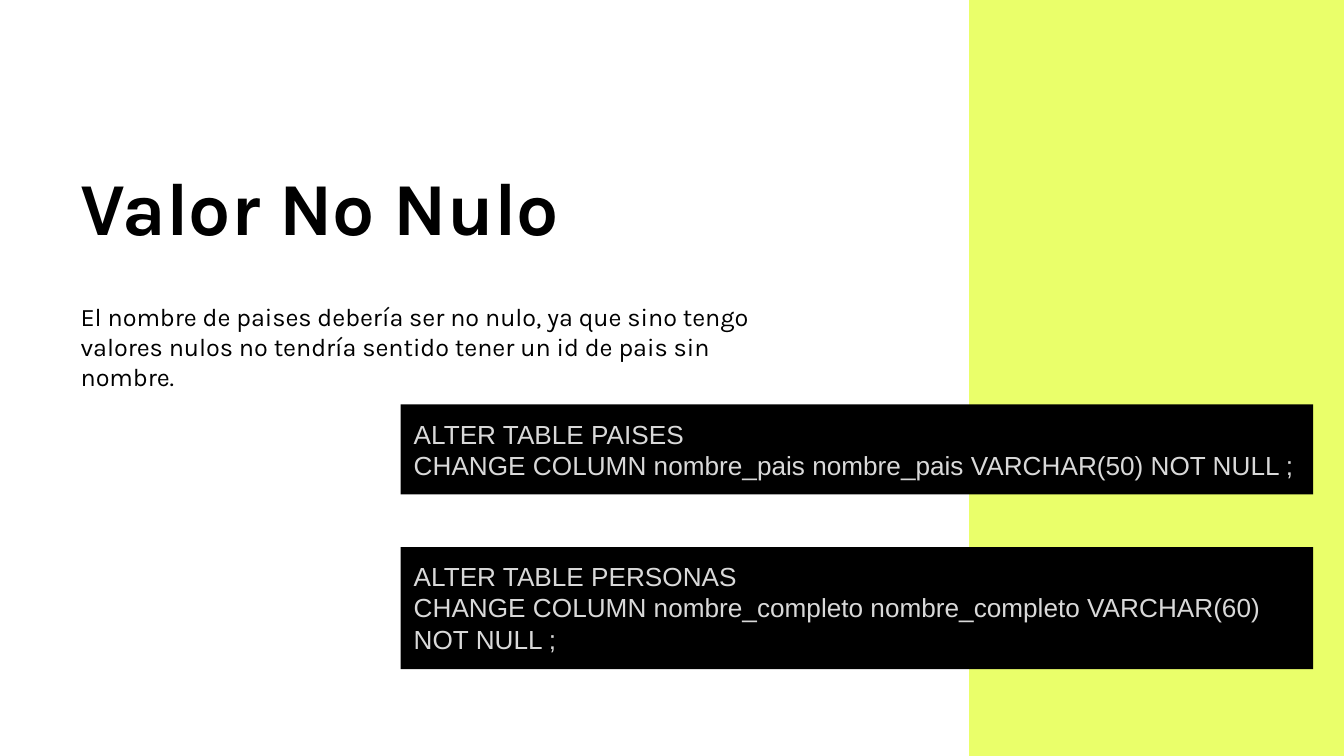
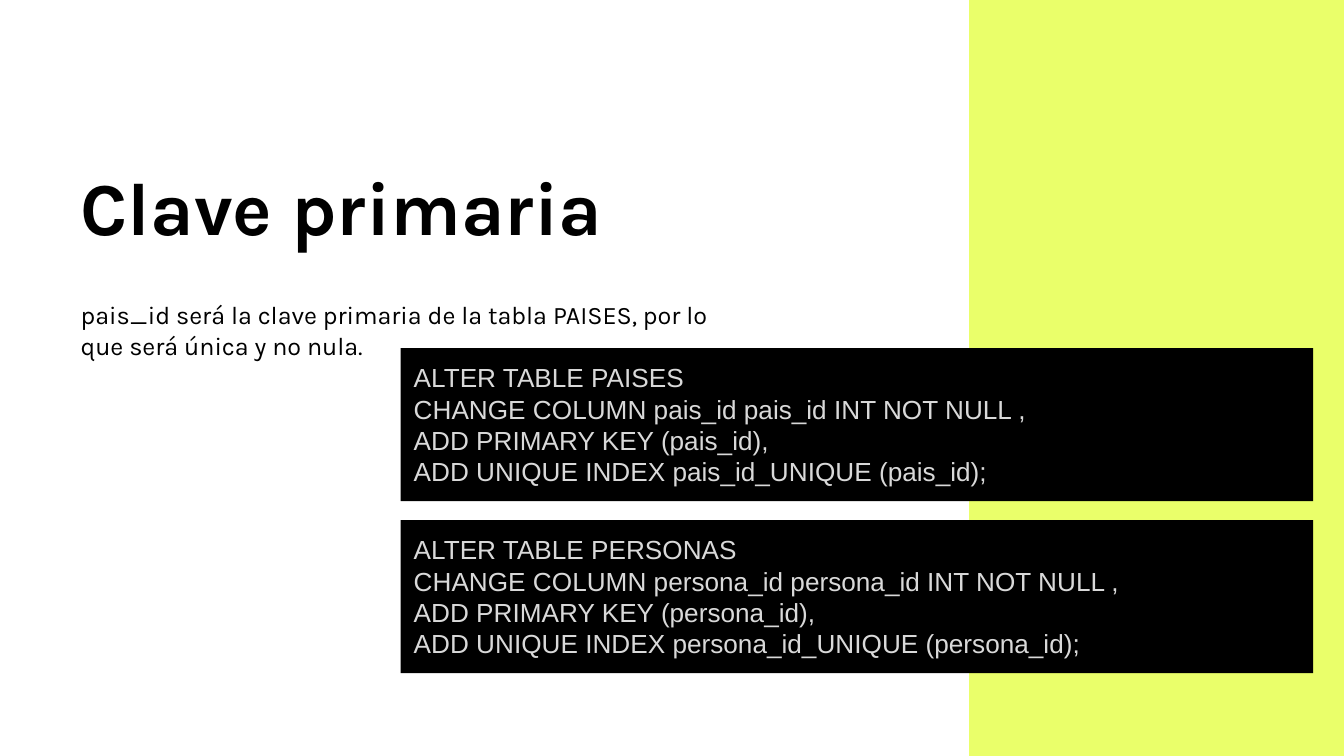
import dataclasses

import lxml.etree
import pptx
import pptx.dml.color
import pptx.enum.shapes
import pptx.enum.text
import pptx.oxml.ns
import pptx.presentation
import pptx.shapes.base
import pptx.slide
import pptx.text.text
import pptx.util

Inches = pptx.util.Inches


@dataclasses.dataclass(frozen=True)
class Theme:
    paper: str = "FFFFFF"
    ink: str = "000000"
    accent: str = "EAFF6A"
    code_ink: str = "D9D9D9"
    text_font: str = "Karla"
    code_font: str = "Arial"
    title_size: float = 40
    body_size: float = 13.5
    code_size: float = 14


@dataclasses.dataclass(frozen=True)
class Area:
    left: float
    top: float
    width: float
    height: float


@dataclasses.dataclass(frozen=True)
class CodeBlock:
    top: float
    height: float
    code: str


@dataclasses.dataclass(frozen=True)
class Topic:
    title: str
    body: str
    body_top: float
    body_height: float
    blocks: tuple[CodeBlock, ...]


THEME = Theme()
PAGE_WIDTH = 10
PAGE_HEIGHT = PAGE_WIDTH * 9 / 16
BAND_LEFT = 7.21
BAND = Area(BAND_LEFT, 0, PAGE_WIDTH - BAND_LEFT, PAGE_HEIGHT)
TITLE = Area(0.5, 1.17, 5.17, 0.81)
CODE_LEFT, CODE_WIDTH = 2.98, 6.79

TOPICS = (
    Topic(
        "Valor No Nulo",
        "El nombre de paises debería ser no nulo, ya que sino tengo valores nulos "
        "no tendría sentido tener un id de pais sin nombre.",
        2.14,
        0.88,
        (
            CodeBlock(3.01, 0.67, """ALTER TABLE PAISES
CHANGE COLUMN nombre_pais nombre_pais VARCHAR(50) NOT NULL ;"""),
            CodeBlock(4.07, 0.91, """ALTER TABLE PERSONAS
CHANGE COLUMN nombre_completo nombre_completo VARCHAR(60) NOT NULL ;"""),
        ),
    ),
    Topic(
        "Clave primaria",
        "pais_id será la clave primaria de la tabla PAISES, por lo que será única y no nula.",
        2.13,
        0.66,
        (
            CodeBlock(2.59, 1.14, """ALTER TABLE PAISES
CHANGE COLUMN pais_id pais_id INT NOT NULL ,
ADD PRIMARY KEY (pais_id),
ADD UNIQUE INDEX pais_id_UNIQUE (pais_id);"""),
            CodeBlock(3.87, 1.14, """ALTER TABLE PERSONAS
CHANGE COLUMN persona_id persona_id INT NOT NULL ,
ADD PRIMARY KEY (persona_id),
ADD UNIQUE INDEX persona_id_UNIQUE (persona_id);"""),
        ),
    ),
)


def rgb(value: str) -> pptx.dml.color.RGBColor:
    return pptx.dml.color.RGBColor.from_string(value)


def place(shape: pptx.shapes.base.BaseShape, area: Area) -> None:
    shape.left, shape.top = Inches(area.left), Inches(area.top)
    shape.width, shape.height = Inches(area.width), Inches(area.height)


def write_text(
    frame: pptx.text.text.TextFrame,
    text: str,
    *,
    size: float,
    font: str = THEME.text_font,
    color: str = THEME.ink,
    bold: bool = False,
    line_spacing: float = 1.0,
    anchor: pptx.enum.text.MSO_ANCHOR = pptx.enum.text.MSO_ANCHOR.TOP,
) -> None:
    frame.text = text
    frame.word_wrap = True
    frame.auto_size = pptx.enum.text.MSO_AUTO_SIZE.SHAPE_TO_FIT_TEXT
    frame.vertical_anchor = anchor
    frame.margin_left = frame.margin_right = Inches(0.1)
    frame.margin_top = frame.margin_bottom = Inches(0.1)
    for para in frame.paragraphs:
        para.alignment = pptx.enum.text.PP_ALIGN.LEFT
        para.line_spacing = line_spacing
        para.space_before = pptx.util.Pt(0)
        properties = para._p.get_or_add_pPr()
        properties.set("marL", "0")
        properties.set("indent", "0")
        lxml.etree.SubElement(properties, pptx.oxml.ns.qn("a:buNone"))
        for span in para.runs:
            span.font.name = font
            span.font.size = pptx.util.Pt(size)
            span.font.bold = bold
            span.font.color.rgb = rgb(color)


def add_panel(page: pptx.slide.Slide, area: Area, color: str) -> pptx.shapes.base.BaseShape:
    panel = page.shapes.add_shape(
        pptx.enum.shapes.MSO_SHAPE.RECTANGLE,
        Inches(area.left), Inches(area.top), Inches(area.width), Inches(area.height),
    )
    panel.shadow.inherit = False
    panel.fill.solid()
    panel.fill.fore_color.rgb = rgb(color)
    panel.line.fill.background()
    return panel


def add_code(page: pptx.slide.Slide, block: CodeBlock) -> None:
    area = Area(CODE_LEFT, block.top, CODE_WIDTH, block.height)
    panel = add_panel(page, area, THEME.ink)
    write_text(panel.text_frame, block.code, size=THEME.code_size,
               font=THEME.code_font, color=THEME.code_ink)


def add_topic(deck: pptx.presentation.Presentation, topic: Topic) -> None:
    page = deck.slides.add_slide(deck.slide_layouts.get_by_name("Title and Content"))
    add_panel(page, BAND, THEME.accent)
    title, body = page.shapes.title, page.placeholders[1]
    place(title, TITLE)
    write_text(title.text_frame, topic.title, size=THEME.title_size, bold=True,
               line_spacing=0.9, anchor=pptx.enum.text.MSO_ANCHOR.MIDDLE)
    place(body, Area(TITLE.left, topic.body_top, TITLE.width, topic.body_height))
    write_text(body.text_frame, topic.body, size=THEME.body_size)
    for block in topic.blocks:
        add_code(page, block)


def main() -> None:
    deck = pptx.Presentation()
    deck.slide_width, deck.slide_height = Inches(PAGE_WIDTH), Inches(PAGE_HEIGHT)
    background = deck.slide_master.background.fill
    background.solid()
    background.fore_color.rgb = rgb(THEME.paper)
    for topic in TOPICS:
        add_topic(deck, topic)
    deck.save("out.pptx")


if __name__ == "__main__":
    main()
